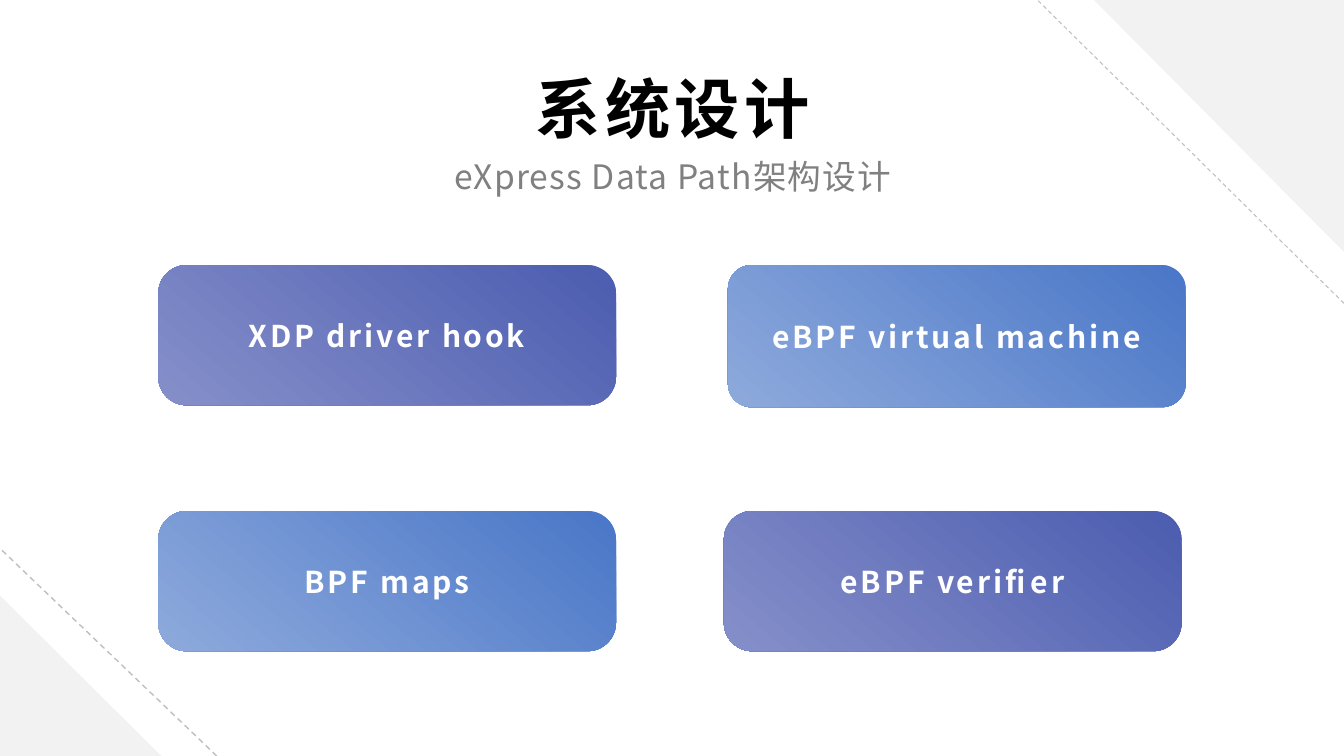
from lxml import etree
from pptx import Presentation
from pptx.dml.color import RGBColor
from pptx.enum.dml import MSO_LINE
from pptx.enum.shapes import MSO_CONNECTOR, MSO_SHAPE
from pptx.enum.text import MSO_ANCHOR, MSO_AUTO_SIZE, PP_ALIGN
from pptx.oxml.ns import qn
from pptx.util import Inches, Pt

FONT = "Noto Sans CJK SC"
BLACK = RGBColor(0x00, 0x00, 0x00)
WHITE = RGBColor(0xFF, 0xFF, 0xFF)
GRAY = RGBColor(0x80, 0x80, 0x80)
LINE_GRAY = RGBColor(0xBF, 0xBF, 0xBF)
CORNER_GRAY = RGBColor(0xF2, 0xF2, 0xF2)
INDIGO = (RGBColor(0x4C, 0x5C, 0xAF), RGBColor(0x85, 0x90, 0xCA))
BLUE = (RGBColor(0x49, 0x76, 0xC7), RGBColor(0x8E, 0xAA, 0xDC))
DASH = MSO_LINE.DASH
STRAIGHT = MSO_CONNECTOR.STRAIGHT
TRIANGLE = MSO_SHAPE.RIGHT_TRIANGLE
ROUNDED = MSO_SHAPE.ROUNDED_RECTANGLE
TOP, MIDDLE, BOTTOM = MSO_ANCHOR.TOP, MSO_ANCHOR.MIDDLE, MSO_ANCHOR.BOTTOM
CENTER = PP_ALIGN.CENTER
NO_FIT = MSO_AUTO_SIZE.NONE


def write(shape, text, size, color, bold=False, spacing=0, anchor=MIDDLE,
          margins=(0.1, 0.1), line_spacing=1.0):
    frame = shape.text_frame
    frame.word_wrap = True
    frame.auto_size = NO_FIT
    frame.vertical_anchor = anchor
    frame.margin_left = frame.margin_right = Inches(margins[0])
    frame.margin_top = frame.margin_bottom = Inches(margins[1])
    para = frame.paragraphs[0]
    para.alignment = CENTER
    para.line_spacing = line_spacing
    para.space_before = Pt(0)
    span = para.add_run()
    span.text = text
    span.font.size = Pt(size)
    span.font.bold = bold
    span.font.color.rgb = color
    span.font.name = FONT
    properties = span.font._element
    properties.set("spc", str(round(spacing * 100)))
    etree.SubElement(properties, qn("a:ea")).set("typeface", FONT)


deck = Presentation()
deck.slide_width = Inches(13.33)
deck.slide_height = Inches(7.5)
page = deck.slides.add_slide(deck.slide_layouts[0])

for x1, y1, x2, y2, width in [(13.33, 3.01, 10.29, 0, 0.75), (2.15, 7.5, 0.01, 5.45, 1)]:
    dashed = page.shapes.add_connector(STRAIGHT, Inches(x1), Inches(y1), Inches(x2), Inches(y2))
    dashed.line.color.rgb = LINE_GRAY
    dashed.line.width = Pt(width)
    dashed.line.dash_style = DASH
    etree.SubElement(dashed._element.spPr, qn("a:effectLst"))

for left, top, width, height, rotation in [(10.85, 0, 2.48, 2.5, 180), (0, 5.91, 1.6, 1.59, 0)]:
    corner = page.shapes.add_shape(TRIANGLE, Inches(left), Inches(top), Inches(width), Inches(height))
    corner.rotation = rotation
    corner.shadow.inherit = False
    corner.fill.solid()
    corner.fill.fore_color.rgb = CORNER_GRAY
    corner.line.fill.background()

title, subtitle = page.placeholders
for heading, top, height in [(title, 0.67, 0.82), (subtitle, 1.52, 0.48)]:
    heading.left, heading.top = Inches(0.67), Inches(top)
    heading.width, heading.height = Inches(12), Inches(height)
write(title, "系统设计", 46.6, BLACK, bold=True, spacing=3.2, anchor=BOTTOM,
      margins=(0.07, 0.03), line_spacing=0.9)
write(subtitle, "eXpress Data Path架构设计", 24, GRAY, spacing=0.8, anchor=TOP,
      margins=(0.07, 0.03))

components = [
    ("XDP driver hook", 1.57, 2.63, 1.39, 0.203, INDIGO, 21.4),
    ("eBPF virtual machine", 7.22, 2.63, 1.41, 0.167, BLUE, 21.5),
    ("BPF maps", 1.57, 5.07, 1.39, 0.203, BLUE, 21.5),
    ("eBPF verifier", 7.18, 5.07, 1.39, 0.203, INDIGO, 21.5),
]
for name, left, top, height, rounding, shades, size in components:
    box = page.shapes.add_shape(ROUNDED, Inches(left), Inches(top), Inches(4.54), Inches(height))
    box.adjustments[0] = rounding
    box.shadow.inherit = False
    box.line.fill.background()
    box.fill.gradient()
    box.fill.gradient_angle = 230
    for stop, shade in zip(box.fill.gradient_stops, shades):
        stop.color.rgb = shade
    write(box, name, size, WHITE, bold=True, spacing=2)

deck.save("out.pptx")
